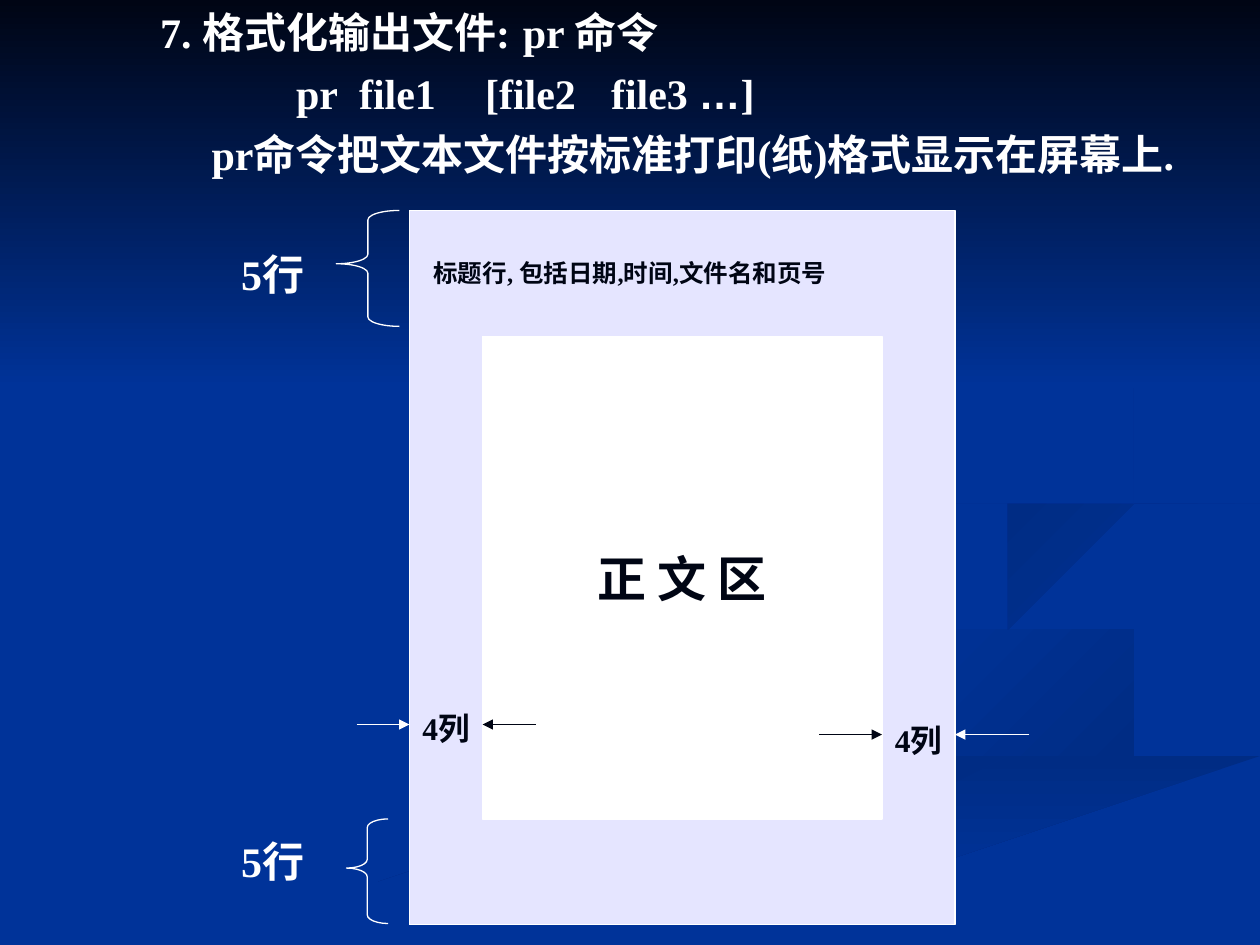
from lxml import etree
from pptx import Presentation
from pptx.dml.color import RGBColor
from pptx.enum import shapes, text
from pptx.oxml import ns
from pptx.util import Inches, Pt

COLORS = {"blue": "003399", "ink": "000514", "white": "FFFFFF", "page": "E5E5FF",
          "shade": "002C84"}
FONT = "Times New Roman"


def rgb(name):
    return RGBColor.from_string(COLORS[name])


def style(shape, fill=None, line=None, gradient=None):
    """Fill and outline a shape; gradient is (start, end, clockwise angle)."""
    shape.shadow.inherit = False
    if gradient:
        start, end, angle = gradient
        shape.fill.gradient()
        shape.fill.gradient_angle = (360 - angle) % 360
        for stop, color in zip(shape.fill.gradient_stops, (start, end)):
            stop.color.rgb = rgb(color)
    elif fill:
        shape.fill.solid()
        shape.fill.fore_color.rgb = rgb(fill)
    else:
        shape.fill.background()
    if line:
        shape.line.color.rgb = rgb(line)
        shape.line.width = Pt(0.75)
    else:
        shape.line.fill.background()


prs = Presentation()
prs.slide_width, prs.slide_height = Inches(10), Inches(7.5)
s = prs.slides.add_slide(prs.slide_layouts[1])
s.background.fill.solid()
s.background.fill.fore_color.rgb = rgb("blue")
title, body = s.placeholders
title.element.getparent().remove(title.element)

# Backdrop: ribbons, then the dark sky
ribbons = [
    (("shade", "blue", 180), [
        (7.57, 5.43), (5.75, 4.59), (7.76, 5.53), (7.74, 5.83), (5.79, 6.39),
        (3, 7.49), (3.61, 7.49), (5.64, 6.65), (7.86, 6.01), (8, 5.81)]),
    (("shade", "blue", 225), [
        (9.43, 5.7), (9.19, 5.47), (7.92, 5.09), (7.24, 4.64), (7.55, 5.05),
        (8.8, 5.49), (9.18, 5.81), (8.94, 6.05), (9.32, 5.89)]),
    (("shade", "blue", 90), [
        (5.03, 7.49), (5.71, 7.49), (7.22, 6.82), (9.98, 6.09), (9.98, 5.81),
        (7.64, 6.47), (6.3, 6.93)]),
    (("blue", "shade", 225), [
        (7.81, 4.6), (7.91, 4.78), (8.26, 4.96), (8.05, 4.76), (8.16, 4.59),
        (8.78, 4.39), (9.98, 4.2), (9.98, 4.02), (8.65, 4.24), (8.1, 4.37)]),
    (("blue", "shade", 225), [
        (6.83, 4.3), (8.25, 4.02), (8.76, 3.78), (8.94, 3.44), (8.8, 3.07),
        (8.43, 2.75), (7.62, 2.33), (8.46, 2.79), (8.89, 3.35), (8.7, 3.65),
        (8.18, 3.86), (6.49, 4.2), (5.77, 4.62), (6.22, 5), (5.93, 4.7)]),
]
for gradient, points in ribbons:
    builder = s.shapes.build_freeform(*points[0], scale=Inches(1))
    builder.add_line_segments(points[1:], close=True)
    style(builder.convert_to_shape(), gradient=gradient)
sky = s.shapes.add_shape(shapes.MSO_SHAPE.RECTANGLE, 0, 0, Inches(10), Inches(3.08))
style(sky, gradient=("ink", "blue", 90))

# Heading text, in front of the backdrop
body.element.getparent().append(body.element)
body.left, body.top, body.width, body.height = map(Inches, (1.17, 0, 8.83, 7.5))
tf = body.text_frame
tf.auto_size = text.MSO_AUTO_SIZE.NONE
tf.vertical_anchor = text.MSO_ANCHOR.TOP
lines = [  # runs, left margin, first-line indent, tab stops
    (["7. 格式化输出文件:\tpr 命令"], 0.38, -0.38, [3.1]),
    (["pr\tfile1\t[file2\tfile3 ", "…", "]"], 1.08, 0, [1.75, 2.6, 3.49]),
    (["pr命令把文本文件按标准打印(纸)格式显示在屏幕上."], 0.41, 0, []),
]
for i, (runs, margin, indent, stops) in enumerate(lines):
    p = tf.add_paragraph() if i else tf.paragraphs[0]
    p.space_before = Pt(6 if i else 0)
    pPr = p._p.get_or_add_pPr()
    pPr.set("marL", str(Inches(margin)))
    pPr.set("indent", str(Inches(indent)))
    etree.SubElement(pPr, ns.qn("a:buNone"))
    if stops:
        tabs = etree.SubElement(pPr, ns.qn("a:tabLst"))
        for stop in stops:
            etree.SubElement(tabs, ns.qn("a:tab"), pos=str(Inches(stop)), algn="l")
    for content in runs:
        r = p.add_run()
        r.text = content
        r.font.size, r.font.bold = Pt(24), True
        r.font.name = "Arial" if content == "…" else FONT
        r.font.color.rgb = rgb("white")

# Printed page and its text area
PROCESS = shapes.MSO_SHAPE.FLOWCHART_PROCESS
page = s.shapes.add_shape(PROCESS, *map(Inches, (3.25, 1.67, 4.33, 5.67)))
style(page, "page", "white")
area = s.shapes.add_shape(PROCESS, *map(Inches, (3.83, 2.67, 3.17, 3.83)))
style(area, "white", "white")

# Braces marking the top and bottom margins
for box, curl, middle in [((2.67, 1.67, 0.5, 0.92), 0.15, 0.46),
                          ((2.75, 6.5, 0.33, 0.83), 0.21, 0.47)]:
    brace = s.shapes.add_shape(shapes.MSO_SHAPE.LEFT_BRACE, *map(Inches, box))
    brace.adjustments[0], brace.adjustments[1] = curl, middle
    style(brace, line="white")

# Arrows marking the side margins
for x1, x2, y, color in [(2.83, 3.25, 5.75, "white"), (4.25, 3.83, 5.75, "ink"),
                         (6.5, 7, 5.83, "ink"), (8.17, 7.58, 5.83, "white")]:
    arrow = s.shapes.add_connector(shapes.MSO_CONNECTOR.STRAIGHT,
                                   *map(Inches, (x1, y, x2, y)))
    arrow.line.color.rgb = rgb(color)
    arrow.line.width = Pt(0.75)
    etree.SubElement(arrow.line._get_or_add_ln(), ns.qn("a:tailEnd"), type="triangle")
    etree.SubElement(arrow._element.spPr, ns.qn("a:effectLst"))

# Labels
labels = [
    ("5行", (1.58, 1.92, 1.17, 0.5), 24, "white"),
    ("5行", (1.58, 6.58, 1.17, 0.5), 24, "white"),
    ("4列", (3.25, 5.58, 0.58, 0.7), 18, "ink"),
    ("4列", (7, 5.67, 0.58, 0.7), 18, "ink"),
    ("标题行, 包括日期,时间,文件名和页号", (3.25, 2, 3.5, 0.57), 14, "ink"),
    ("正 文 区", None, 28, "ink"),
]
for content, box, size, color in labels:
    sp = s.shapes.add_textbox(*map(Inches, box)) if box else area
    tf = sp.text_frame
    tf.word_wrap = box is not None
    tf.text = content
    p = tf.paragraphs[0]
    p.alignment = text.PP_ALIGN.CENTER
    r = p.runs[0]
    r.font.size, r.font.bold, r.font.name = Pt(size), True, FONT
    r.font.color.rgb = rgb(color)

prs.save("out.pptx")
